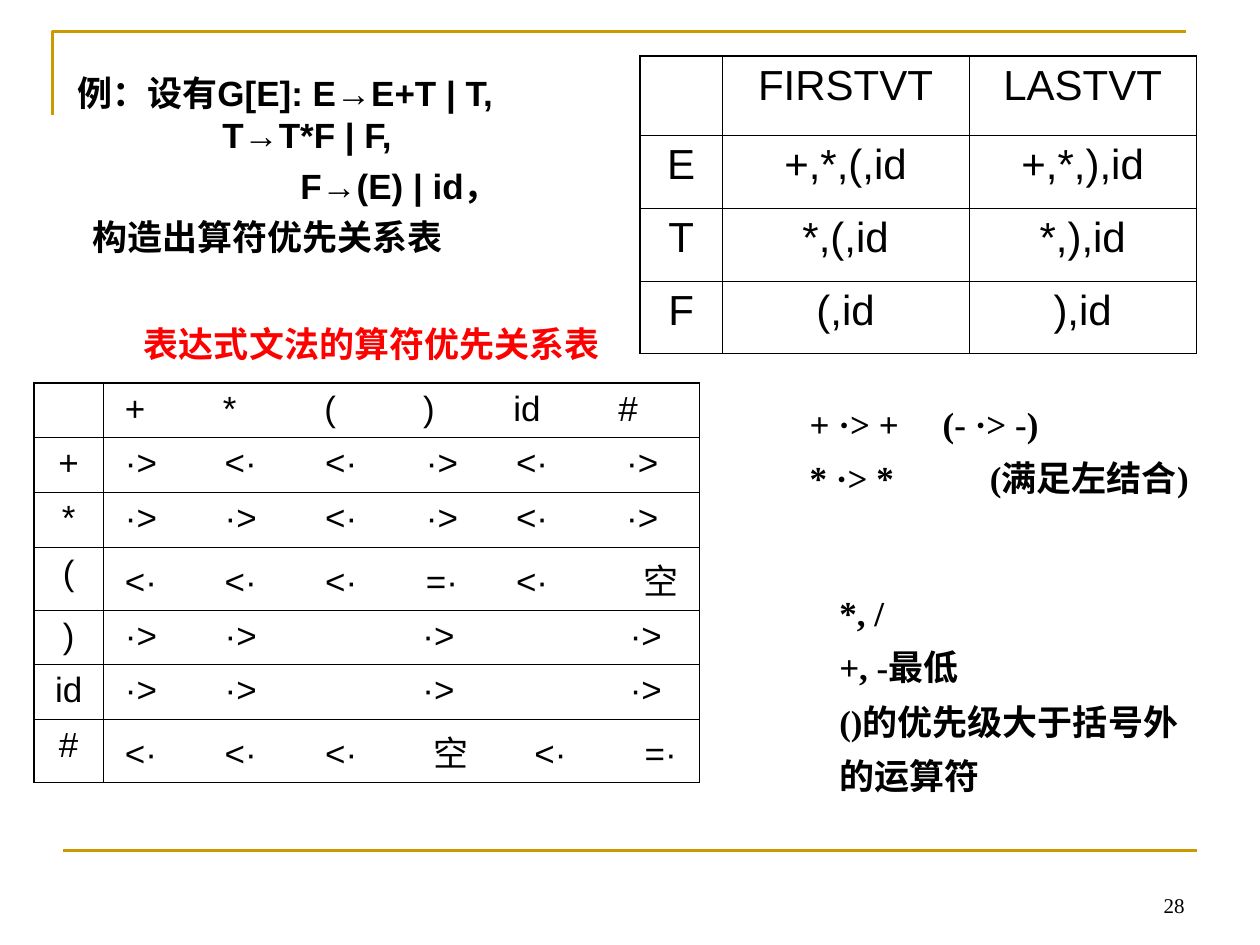
from lxml import etree
from pptx import Presentation
from pptx.dml.color import RGBColor
from pptx.enum.shapes import MSO_CONNECTOR
from pptx.enum.text import MSO_ANCHOR, PP_ALIGN
from pptx.oxml.ns import qn
from pptx.util import Pt

STRAIGHT = MSO_CONNECTOR.STRAIGHT
BOTTOM, TOP = MSO_ANCHOR.BOTTOM, MSO_ANCHOR.TOP
CENTER, LEFT, RIGHT = PP_ALIGN.CENTER, PP_ALIGN.LEFT, PP_ALIGN.RIGHT

COLORS = {"gold": "CC9900", "ink": "000000", "title": "FF0000"}
SANS, SERIF = "Arial", "Times New Roman"
THIN, THICK = 0.45, 1.08

VT_ROWS = [
    ("", "FIRSTVT", "LASTVT"),
    ("E", "+,*,(,id", "+,*,),id"),
    ("T", "*,(,id", "*,),id"),
    ("F", "(,id", "),id"),
]

# Tab stops in points, measured from the first relation of a row
HEADER_STOPS = (56, 114, 170.5, 222, 282)
FULL_STOPS = (57, 114.5, 172, 223.5, 286.5)
OPEN_STOPS = FULL_STOPS[:4] + (296.5,)
CLOSE_STOPS = (57, 170, 288.5)
HASH_STOPS = (57, 114.5, 176.5, 234, 297)
PRECEDENCE_ROWS = [
    ("", "+ * ( ) id #", HEADER_STOPS),
    ("+", "·> <· <· ·> <· ·>", FULL_STOPS),
    ("*", "·> ·> <· ·> <· ·>", FULL_STOPS),
    ("(", "<· <· <· =· <· 空", OPEN_STOPS),
    (")", "·> ·> ·> ·>", CLOSE_STOPS),
    ("id", "·> ·> ·> ·>", CLOSE_STOPS),
    ("#", "<· <· <· 空 <· =·", HASH_STOPS),
]


def rgb(name):
    return RGBColor.from_string(COLORS[name])


def set_paragraph(paragraph, text, size, font=SANS, color="ink", bold=False,
                  align=LEFT, stops=(), indent=0):
    """Fill one paragraph; stops and indent are in points."""
    paragraph.text = text
    properties = paragraph._p.get_or_add_pPr()
    if indent:
        properties.set("marL", str(Pt(indent)))
    if stops:
        tabs = etree.SubElement(properties, qn("a:tabLst"))
        for stop in stops:
            etree.SubElement(tabs, qn("a:tab"), pos=str(Pt(stop)), algn="l")
    paragraph.alignment = align
    paragraph.font.size = Pt(size)
    paragraph.font.name = font
    paragraph.font.bold = bold
    paragraph.font.color.rgb = rgb(color)


def add_text(slide, box, lines, wrap=True, anchor=TOP, spacing=None, **style):
    """Add a text box; each line is (text, own paragraph settings)."""
    frame = slide.shapes.add_textbox(*map(Pt, box)).text_frame
    frame.word_wrap = wrap
    frame.vertical_anchor = anchor
    for index, (text, own) in enumerate(lines):
        paragraph = frame.add_paragraph() if index else frame.paragraphs[0]
        set_paragraph(paragraph, text, **{**style, **own})
        if spacing:
            paragraph.line_spacing = spacing
    return frame


def set_borders(cell, widths):
    """Draw the left, right, top and bottom borders of a cell."""
    properties = cell._tc.get_or_add_tcPr()
    for index, (side, width) in enumerate(zip("LRTB", widths)):
        line = etree.Element(qn(f"a:ln{side}"), w=str(Pt(width)))
        fill = etree.SubElement(line, qn("a:solidFill"))
        etree.SubElement(fill, qn("a:srgbClr"), val=COLORS["ink"])
        properties.insert(index, line)


def add_grid(slide, left, top, widths, heights, closing_width):
    """Add an unfilled table; closing_width is for its right and bottom edge."""
    box = (left, top, sum(widths), sum(heights))
    grid = slide.shapes.add_table(len(heights), len(widths), *map(Pt, box)).table
    grid.first_row = grid.horz_banding = False
    for column, width in zip(grid.columns, widths):
        column.width = Pt(width)
    for row, height in zip(grid.rows, heights):
        row.height = Pt(height)
    last_row, last_column = len(heights) - 1, len(widths) - 1
    for r in range(len(heights)):
        for c in range(len(widths)):
            cell = grid.cell(r, c)
            cell.fill.background()
            set_borders(cell, (
                THIN if c else THICK,
                closing_width if c == last_column else THIN,
                THIN if r else THICK,
                closing_width if r == last_row else THIN,
            ))
    return grid


def add_vt_table(slide):
    grid = add_grid(slide, 365.7, 32, (47, 141, 130), (45.5, 41.5, 41.5, 41.5), THICK)
    for r, row in enumerate(VT_ROWS):
        for c, text in enumerate(row):
            set_paragraph(grid.cell(r, c).text_frame.paragraphs[0], text, 24,
                          align=CENTER)


def add_precedence_table(slide):
    heights = [36 if "空" in relations else 31.2
               for _, relations, _ in PRECEDENCE_ROWS]
    grid = add_grid(slide, 19.6, 218.9, (39.3, 340.7), heights, THIN)
    for r, (symbol, relations, stops) in enumerate(PRECEDENCE_ROWS):
        head, body = grid.cell(r, 0), grid.cell(r, 1)
        set_paragraph(head.text_frame.paragraphs[0], symbol, 20, align=CENTER)
        body.margin_left = Pt(12.5)
        set_paragraph(body.text_frame.paragraphs[0],
                      "\t".join(relations.split()), 20, stops=stops)


def add_frame_lines(slide):
    builder = slide.shapes.build_freeform(Pt(30), Pt(66))
    builder.add_line_segments([(Pt(30), Pt(18)), (Pt(678), Pt(18))], close=False)
    corner = builder.convert_to_shape()
    corner.shadow.inherit = False
    corner.fill.background()
    footer = slide.shapes.add_connector(STRAIGHT, Pt(36), Pt(486), Pt(684), Pt(486))
    etree.SubElement(footer._element.spPr, qn("a:effectLst"))
    for edge in (corner, footer):
        edge.line.color.rgb = rgb("gold")
        edge.line.width = Pt(1.5)


def add_grammar(slide):
    grammar = add_text(slide, (37, 37.4, 306, 113), [
        ("例：设有G[E]: E→E+T | T,", {}),
        ("T→T*F | F,", {"indent": 83}),
        ("F→(E) | id，", {"indent": 127.5}),
        ("构造出算符优先关系表", {"indent": 8.5}),
    ], size=20, bold=True)
    for paragraph in grammar.paragraphs[2:]:
        paragraph.space_before = Pt(5)


def main():
    deck = Presentation()
    deck.slide_width, deck.slide_height = Pt(720), Pt(540)
    slide = deck.slides.add_slide(deck.slide_layouts[6])
    notes = {"size": 20, "font": SERIF, "bold": True}

    add_frame_lines(slide)
    add_text(slide, (516, 492, 168, 36), [("28", {})], anchor=BOTTOM,
             size=12, font=SERIF, align=RIGHT)
    add_grammar(slide)
    add_vt_table(slide)
    add_precedence_table(slide)
    add_text(slide, (75, 181, 275, 31.5), [("表达式文法的算符优先关系表", {})],
             wrap=False, align=CENTER, color="title", **notes)
    add_text(slide, (455.6, 219, 253, 70), [
        ("+ ·> +\t(- ·> -)", {"stops": (76,)}),
        ("* ·> *\t(满足左结合)", {"stops": (103,)}),
    ], spacing=1.3, **notes)
    priorities = ("*, /", "+, -最低", "()的优先级大于括号外", "的运算符")
    add_text(slide, (472.5, 327, 226, 132.5), [(line, {}) for line in priorities],
             spacing=1.3, **notes)
    deck.save("out.pptx")


if __name__ == "__main__":
    main()
